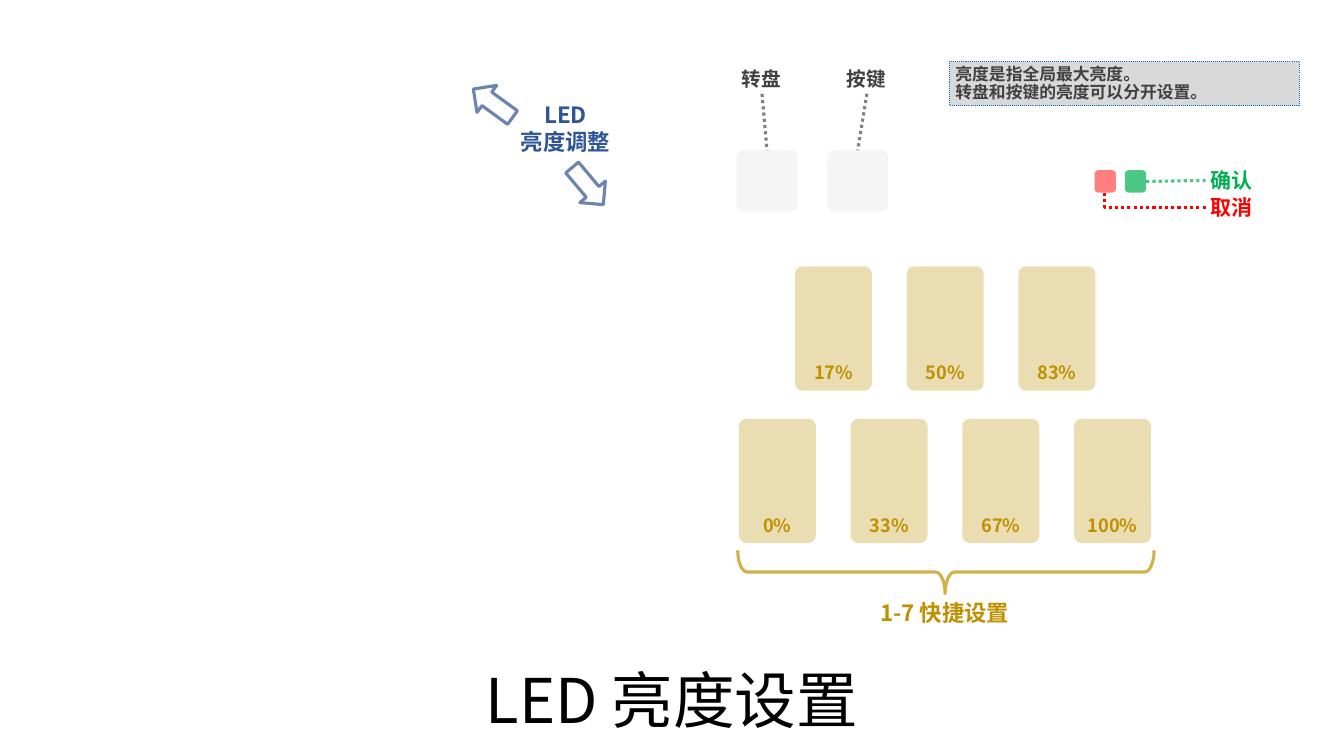
from lxml import etree
from pptx import Presentation
from pptx.dml.color import RGBColor
from pptx.enum.dml import MSO_LINE
from pptx.enum.shapes import MSO_CONNECTOR, MSO_SHAPE
from pptx.enum.text import MSO_ANCHOR, MSO_AUTO_SIZE, PP_ALIGN
from pptx.oxml.ns import qn
from pptx.util import Pt

FONT = "Noto Sans CJK SC"
BLACK = RGBColor(0x00, 0x00, 0x00)
DARK_GRAY = RGBColor(0x40, 0x40, 0x40)
MID_GRAY = RGBColor(0x80, 0x80, 0x80)
NOTE_GRAY = RGBColor(0xD9, 0xD9, 0xD9)
PALE_GRAY = RGBColor(0xED, 0xED, 0xED)
RED = RGBColor(0xFF, 0x00, 0x00)
GREEN = RGBColor(0x00, 0xB0, 0x50)
GOLD = RGBColor(0xBF, 0x90, 0x00)
BLUE = RGBColor(0x2F, 0x55, 0x97)
ARROW_BLUE = RGBColor(0x2F, 0x52, 0x8F)
NOTE_BLUE = RGBColor(0x00, 0x70, 0xC0)

ROUNDED = MSO_SHAPE.ROUNDED_RECTANGLE
RECTANGLE = MSO_SHAPE.RECTANGLE
LEFT_ARROW = MSO_SHAPE.LEFT_ARROW
LEFT_BRACE = MSO_SHAPE.LEFT_BRACE
STRAIGHT = MSO_CONNECTOR.STRAIGHT
ELBOW = MSO_CONNECTOR.ELBOW
DOTTED = MSO_LINE.ROUND_DOT
LEFT = PP_ALIGN.LEFT
CENTER = PP_ALIGN.CENTER
TOP = MSO_ANCHOR.TOP
MIDDLE = MSO_ANCHOR.MIDDLE
BOTTOM = MSO_ANCHOR.BOTTOM
GROW = MSO_AUTO_SIZE.SHAPE_TO_FIT_TEXT

CORNER = 0.097
KEY_WIDTH, KEY_HEIGHT, KEY_STEP = 55, 88.8, 79.8


def points(values):
    return [Pt(value) for value in values]


def set_opacity(shape, percent):
    for color in shape.element.spPr.iter(qn("a:srgbClr")):
        etree.SubElement(color, qn("a:alpha")).set("val", str(percent * 1000))


def write_text(shape, text, size, color, bold=True, align=CENTER, anchor=TOP, spacing=None):
    frame = shape.text_frame
    frame.text = text
    frame.word_wrap = True
    frame.vertical_anchor = anchor
    for paragraph in frame.paragraphs:
        paragraph.alignment = align
        paragraph.line_spacing = spacing
        for run in paragraph.runs:
            font = run.font
            font.size = Pt(size)
            font.bold = bold
            font.color.rgb = color
            font.name = FONT
            east_asian = etree.SubElement(font._element, qn("a:ea"))
            east_asian.set("typeface", FONT)


def set_margins(frame, left, top, right, bottom):
    frame.margin_left, frame.margin_top, frame.margin_right, frame.margin_bottom = points(
        (left, top, right, bottom))


def add_label(slide, box, text, size, color, align=CENTER, spacing=None, vertical_margin=2.88):
    label = slide.shapes.add_textbox(*points(box))
    write_text(label, text, size, color, align=align, spacing=spacing)
    set_margins(label.text_frame, 2.88, vertical_margin, 2.88, vertical_margin)
    label.text_frame.auto_size = GROW


def add_filled(slide, kind, box, color, opacity=100):
    shape = slide.shapes.add_shape(kind, *points(box))
    shape.shadow.inherit = False
    shape.fill.solid()
    shape.fill.fore_color.rgb = color
    shape.line.fill.background()
    if opacity < 100:
        set_opacity(shape, opacity)
    return shape


def add_outlined(slide, kind, box, color, rotation):
    shape = slide.shapes.add_shape(kind, *points(box))
    shape.shadow.inherit = False
    shape.fill.background()
    shape.line.color.rgb = color
    shape.line.width = Pt(2.25)
    shape.rotation = rotation
    set_opacity(shape, 70)
    return shape


def add_dotted_line(slide, kind, ends, color):
    connector = slide.shapes.add_connector(kind, *points(ends))
    connector.line.color.rgb = color
    connector.line.width = Pt(2.25)
    connector.line.dash_style = DOTTED
    etree.SubElement(connector.element.spPr, qn("a:effectLst"))
    return connector


def add_key_row(slide, left, top, captions):
    for index, caption in enumerate(captions):
        box = (left + index * KEY_STEP, top, KEY_WIDTH, KEY_HEIGHT)
        key = add_filled(slide, ROUNDED, box, GOLD, 30)
        key.adjustments[0] = CORNER
        write_text(key, caption, 13, GOLD, anchor=BOTTOM)


def add_title(slide, text):
    title = slide.shapes.title
    title.left, title.top, title.width, title.height = points((0, 465.1, 960, 74.9))
    write_text(title, text, 44, BLACK, bold=False, anchor=MIDDLE, spacing=0.9)


def add_confirm_and_cancel(slide):
    add_filled(slide, ROUNDED, (781.9, 121.6, 15.2, 16), RED, 50)
    add_filled(slide, ROUNDED, (803.5, 121.6, 15.2, 16), GREEN, 70)
    add_label(slide, (861.8, 119.5, 40.3, 18), "确认", 15, GREEN, LEFT, vertical_margin=0)
    line = add_dotted_line(slide, STRAIGHT, (818.7, 129.6, 861.8, 128.9), GREEN)
    set_opacity(line, 70)
    add_label(slide, (861.8, 139, 61.9, 18), "取消", 15, RED, LEFT, vertical_margin=0)
    # A quarter turn makes the two-part elbow run down first, then right.
    elbow = add_dotted_line(slide, ELBOW, (830.9, 106.6, 820.1, 179.3), RED)
    elbow.element.spPr.find(qn("a:prstGeom")).set("prst", "bentConnector2")
    elbow.element.spPr.find(qn("a:xfrm")).set("rot", "16200000")


def add_adjustment(slide):
    add_label(slide, (362.9, 69.1, 82.1, 44.6), "LED\v亮度调整", 16, BLUE)
    for left, top, rotation in ((334.8, 61.9, 36), (402.5, 121, 229.9)):
        add_outlined(slide, LEFT_ARROW, (left, top, 34.6, 23.8), ARROW_BLUE, rotation)


def add_shortcuts(slide):
    brace = add_outlined(slide, LEFT_BRACE, (660.2, 259.9, 31, 297.4), GOLD, 270)
    brace.adjustments[0] = 0.217
    brace.adjustments[1] = 0.498
    add_label(slide, (592.6, 424.8, 164.2, 25.2), "1-7 快捷设置", 16, GOLD)
    add_key_row(slide, 567.9, 190.2, ("17%", "50%", "83%"))
    add_key_row(slide, 527.8, 299.1, ("0%", "33%", "67%", "100%"))


def add_targets(slide):
    targets = (
        ("转盘", 526.3, 509, (544.3, 67, 547.9, 107.3)),
        ("按键", 591.1, 583.9, (619.2, 67, 612.7, 107.3)),
    )
    for name, button_left, label_left, line_ends in targets:
        button = add_filled(slide, ROUNDED, (button_left, 107.3, 43.2, 43.9), PALE_GRAY, 50)
        button.adjustments[0] = CORNER
        add_dotted_line(slide, STRAIGHT, line_ends, MID_GRAY)
        add_label(slide, (label_left, 43.9, 69.8, 23), name, 14, DARK_GRAY, spacing=Pt(18))


def add_note(slide):
    note = add_filled(slide, RECTANGLE, (678.2, 43.9, 249.8, 31.7), NOTE_GRAY)
    note.line.color.rgb = NOTE_BLUE
    note.line.width = Pt(0.75)
    note.line.dash_style = DOTTED
    write_text(note, "亮度是指全局最大亮度。\n转盘和按键的亮度可以分开设置。",
               12, DARK_GRAY, align=LEFT, spacing=Pt(13))
    set_margins(note.text_frame, 4.32, 2.88, 2.88, 2.88)
    note.text_frame.auto_size = GROW


def main():
    presentation = Presentation()
    presentation.slide_width, presentation.slide_height = Pt(960), Pt(540)
    slide = presentation.slides.add_slide(presentation.slide_layouts[5])
    add_title(slide, "LED 亮度设置")
    add_confirm_and_cancel(slide)
    add_adjustment(slide)
    add_shortcuts(slide)
    add_targets(slide)
    add_note(slide)
    presentation.save("out.pptx")


if __name__ == "__main__":
    main()
